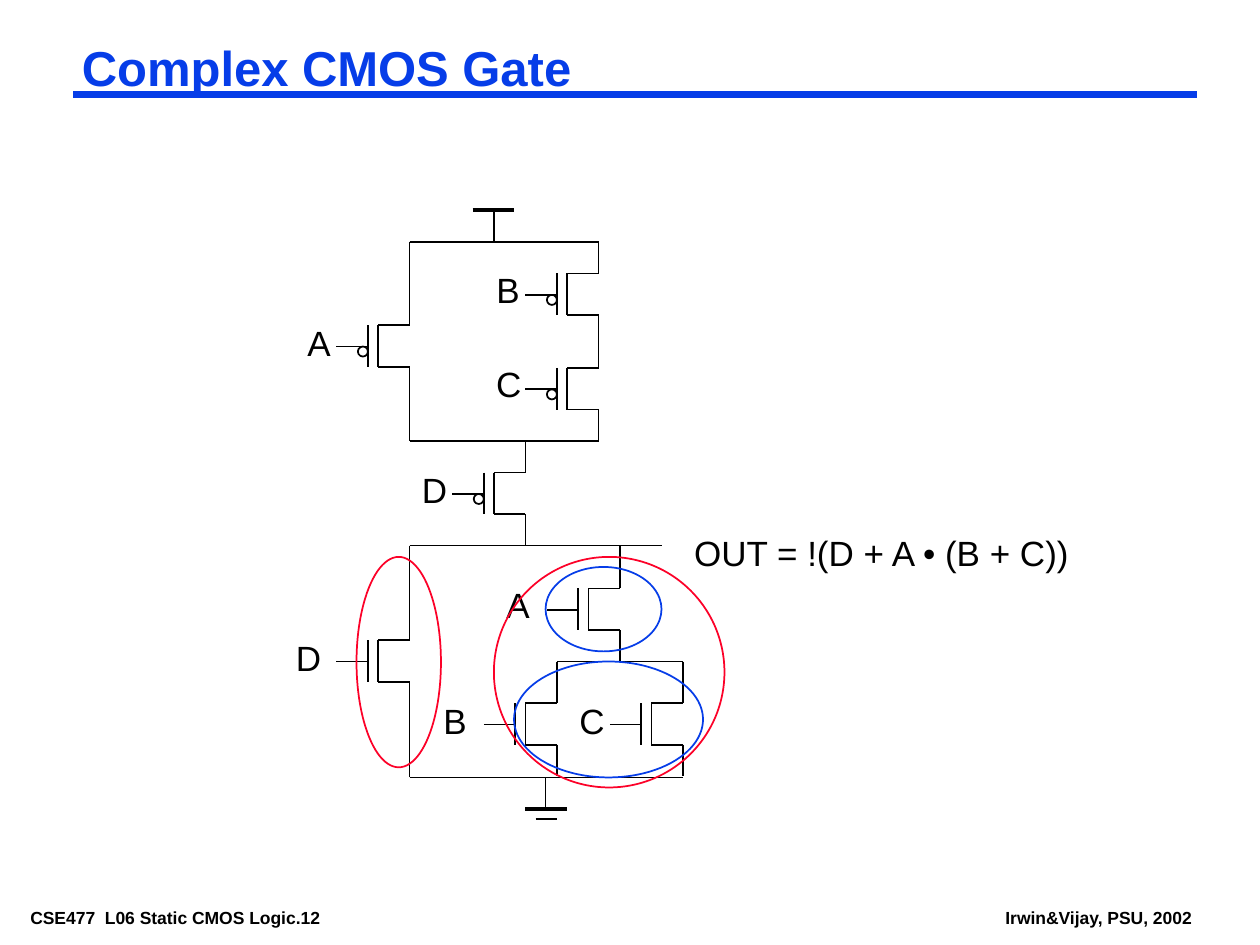
import pptx
import pptx.util
import pptx.dml.color
import pptx.enum.shapes
import pptx.enum.text
from lxml import etree

Inches = pptx.util.Inches
Pt = pptx.util.Pt
RGBColor = pptx.dml.color.RGBColor

BLACK = RGBColor(0x00, 0x00, 0x00)
BLUE = RGBColor(0x06, 0x3D, 0xE8)
RED = RGBColor(0xFC, 0x01, 0x28)
FONT = "Arial"
THICK = 2.25

PMOS = [(3.25, 2.58), (4.75, 2.17), (4.75, 2.92), (4.17, 3.75)]
NMOS = [(3.25, 5.08), (4.42, 5.58), (5.42, 5.58), (4.92, 4.67)]

WIRES = [
    (3.92, 1.67, 3.92, 1.92),
    (3.25, 1.92, 4.75, 1.92),
    (3.25, 1.92, 3.25, 2.42),
    (3.25, 3.08, 3.25, 3.5),
    (3.25, 3.5, 4.75, 3.5),
    (3.25, 4.33, 5.25, 4.33),
    (3.25, 4.33, 3.25, 5.08),
    (4.92, 4.33, 4.92, 4.67),
    (4.42, 5.25, 5.42, 5.25),
    (4.42, 5.25, 4.42, 5.58),
    (5.42, 5.25, 5.42, 5.58),
    (3.25, 5.42, 3.25, 6.17),
    (3.25, 6.17, 5.42, 6.17),
    (4.33, 6.17, 4.33, 6.42),
    (4.25, 6.5, 4.42, 6.5),
]
RAILS = [(3.75, 1.67, 4.08, 1.67), (4.17, 6.42, 4.5, 6.42)]

LABELS = [
    ("A", 2.34, 2.5, 0.38), ("B", 3.84, 2.08, 0.38),
    ("C", 3.84, 2.83, 0.4), ("D", 3.25, 3.67, 0.4),
    ("D", 2.25, 5, 0.4), ("A", 3.92, 4.58, 0.38),
    ("B", 3.42, 5.5, 0.38), ("C", 4.5, 5.5, 0.4),
    ("OUT = !(D + A • (B + C))", 5.41, 4.17, 3.21),
]
FOOTERS = [
    ("CSE477  L06 Static CMOS Logic.12", 0.17, 7.17, 2.95),
    ("Irwin&Vijay, PSU, 2002", 7.91, 7.17, 1.63),
]
RINGS = [
    (2.83, 4.42, 0.67, 1.67, RED),
    (3.92, 4.42, 1.83, 1.83, RED),
    (4.33, 4.5, 0.92, 0.67, BLUE),
    (4.08, 5.25, 1.5, 0.92, BLUE),
]


def add_line(s, x1, y1, x2, y2, width=1, color=BLACK):
    line = s.shapes.add_connector(
        pptx.enum.shapes.MSO_CONNECTOR.STRAIGHT,
        Inches(x1), Inches(y1), Inches(x2), Inches(y2))
    line.line.color.rgb = color
    line.line.width = Pt(width)
    sp_pr = line._element.spPr
    etree.SubElement(sp_pr, pptx.oxml.ns.qn("a:effectLst"))


def add_ring(s, x, y, w, h, color=BLACK):
    ring = s.shapes.add_shape(
        pptx.enum.shapes.MSO_SHAPE.OVAL,
        Inches(x), Inches(y), Inches(w), Inches(h))
    ring.shadow.inherit = False
    ring.fill.background()
    ring.line.color.rgb = color
    ring.line.width = Pt(1)


def add_transistor(s, x, y, p_type=False):
    bottom, gate_y = y + 0.33, y + 0.17
    channel, gate = x - 0.25, x - 0.33
    add_line(s, channel, y, x, y)
    add_line(s, channel, y, channel, bottom)
    add_line(s, channel, bottom, x, bottom)
    add_line(s, gate, y, gate, bottom)
    add_line(s, x, bottom, x, y + 0.58)
    add_line(s, gate - 0.25, gate_y, gate, gate_y)
    if p_type:
        add_line(s, x, y - 0.25, x, y)
        add_ring(s, gate - 0.08, gate_y, 0.08, 0.08)


def set_text(tf, text, size, color, bold, inset_x, inset_y):
    tf.margin_left = tf.margin_right = Inches(inset_x)
    tf.margin_top = tf.margin_bottom = Inches(inset_y)
    tf.vertical_anchor = pptx.enum.text.MSO_ANCHOR.TOP
    p = tf.paragraphs[0]
    p.text = text
    p.alignment = pptx.enum.text.PP_ALIGN.LEFT
    p.font.name = FONT
    p.font.size = Pt(size)
    p.font.bold = bold
    p.font.color.rgb = color


def add_text(s, text, x, y, w, h, size, bold, inset_x, inset_y):
    tf = s.shapes.add_textbox(
        Inches(x), Inches(y), Inches(w), Inches(h)).text_frame
    tf.word_wrap = False
    tf.auto_size = pptx.enum.text.MSO_AUTO_SIZE.SHAPE_TO_FIT_TEXT
    set_text(tf, text, size, BLACK, bold, inset_x, inset_y)


def add_title(s, text):
    title = s.shapes.title
    title.left, title.top = Inches(0.58), Inches(0.33)
    title.width, title.height = Inches(8.92), Inches(0.46)
    tf = title.text_frame
    tf.auto_size = pptx.enum.text.MSO_AUTO_SIZE.NONE
    set_text(tf, text, 28, BLUE, True, 0.07, 0.03)
    tf.paragraphs[0].line_spacing = 0.87
    tf.paragraphs[0].space_before = Pt(0)


def main():
    """Build the slide that shows a complex CMOS gate."""
    prs = pptx.Presentation()
    prs.slide_width, prs.slide_height = Inches(10), Inches(7.5)
    s = prs.slides.add_slide(prs.slide_layouts[5])
    add_title(s, "Complex CMOS Gate")
    add_line(s, 0.58, 0.75, 9.5, 0.75, 4.5, BLUE)
    for text, x, y, w in FOOTERS:
        add_text(s, text, x, y, w, 0.22, 10, True, 0.07, 0.03)
    for x, y in PMOS:
        add_transistor(s, x, y, p_type=True)
    for x, y in NMOS:
        add_transistor(s, x, y)
    for wire in WIRES:
        add_line(s, *wire)
    for rail in RAILS:
        add_line(s, *rail, width=THICK)
    for text, x, y, w in LABELS:
        add_text(s, text, x, y, w, 0.44, 20, False, 0.1, 0.05)
    for ring in RINGS:
        add_ring(s, *ring)
    prs.save("out.pptx")


if __name__ == "__main__":
    main()
